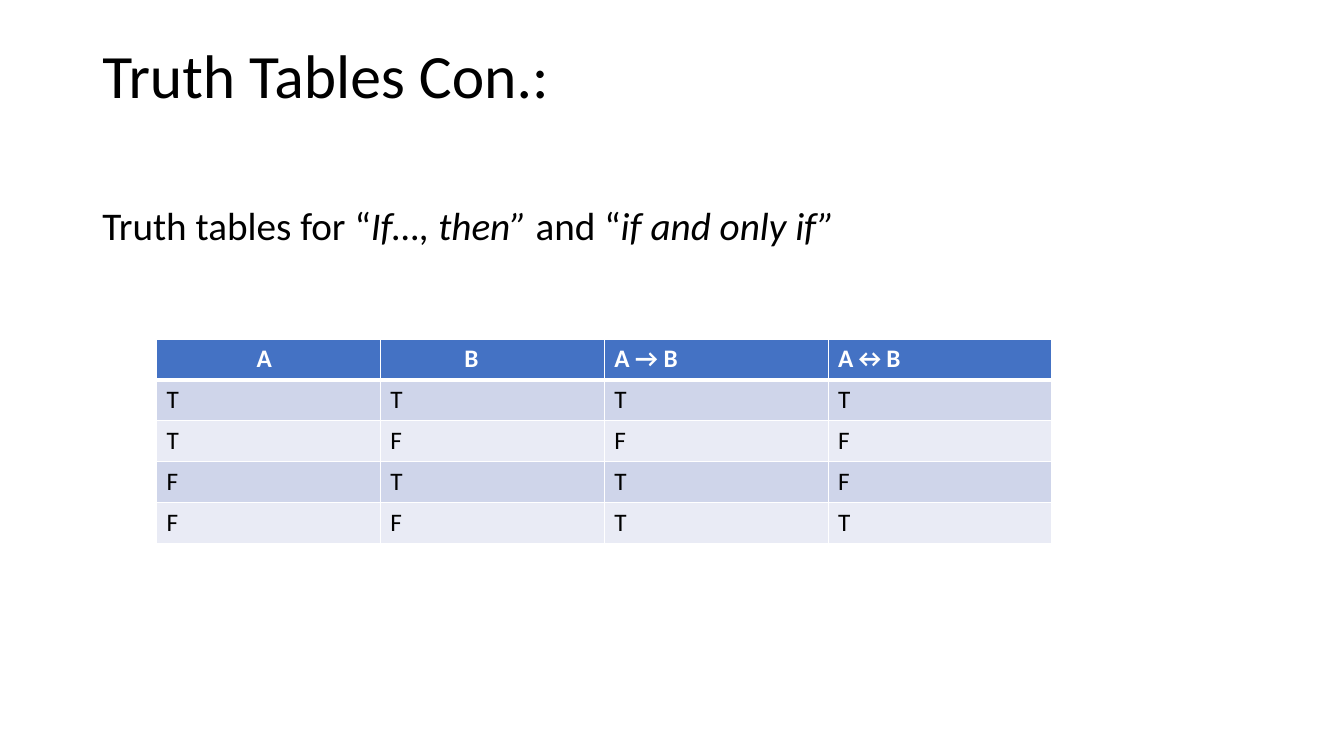
"""Build a slide with the truth tables of the conditional and biconditional."""
from lxml import etree
from pptx import Presentation
from pptx.dml.color import RGBColor as RGB
from pptx.enum.text import MSO_ANCHOR as ANCHOR
from pptx.oxml.ns import qn
from pptx.util import Cm, Pt

COLORS = {"text": "000000", "white": "FFFFFF", "header": "4472C4",
          "odd": "CFD5EA", "even": "E9EBF5"}
HEADERS = ["A", "B", "A → B", "A↔B"]
HEADER_MARGINS = [2.52, 2.11, 0.25, 0.25]
TRUTH_ROWS = ["TTTT", "TFFF", "FTTF", "FFTT"]
COL_WIDTH, ROW_HEIGHT = 5.64, 1.03


def add_run(p, text, size=18, color="text", bold=False, italic=False):
    r = p.add_run()
    r.text = text
    r.font.name = "Calibri"
    r.font.size = Pt(size)
    r.font.bold = bold
    r.font.italic = italic
    r.font.color.rgb = RGB.from_string(COLORS[color])


def add_text(s, top, height, runs, size, before=0):
    tf = s.shapes.add_textbox(Cm(2.33), Cm(top), Cm(29.21), Cm(height)).text_frame
    tf.word_wrap = True
    tf.vertical_anchor = ANCHOR.TOP
    p = tf.paragraphs[0]
    p.line_spacing = 0.9
    p.space_before = Pt(before)
    for text, italic in runs:
        add_run(p, text, size=size, italic=italic)


def set_borders(cell, **widths):
    tc_pr = cell._tc.get_or_add_tcPr()
    for side, width in widths.items():
        ln = etree.SubElement(tc_pr, qn(f"a:ln{side}"), w=str(Pt(width)))
        fill = etree.SubElement(ln, qn("a:solidFill"))
        etree.SubElement(fill, qn("a:srgbClr"), val=COLORS["white"])


def fill_cell(cell, text, fill, margin=0.25, bottom=1, **font):
    cell.margin_left = Cm(margin)
    set_borders(cell, L=1, R=1, T=1, B=bottom)
    cell.fill.solid()
    cell.fill.fore_color.rgb = RGB.from_string(COLORS[fill])
    add_run(cell.text_frame.paragraphs[0], text, **font)


def add_truth_table(s, left, top):
    rows, cols = len(TRUTH_ROWS) + 1, len(HEADERS)
    table = s.shapes.add_table(rows, cols, Cm(left), Cm(top),
                               Cm(COL_WIDTH * cols), Cm(ROW_HEIGHT * rows)).table
    for c, (header, margin) in enumerate(zip(HEADERS, HEADER_MARGINS)):
        fill_cell(table.cell(0, c), header, "header", margin, bottom=3,
                  color="white", bold=True)
    for i, values in enumerate(TRUTH_ROWS, 1):
        for c, value in enumerate(values):
            fill_cell(table.cell(i, c), value, "odd" if i % 2 else "even",
                      bottom=1 if i < rows - 1 else 0.5)
            if i == 1:
                top_line = table.cell(i, c)._tc.tcPr.find(qn("a:lnT"))
                top_line.set("w", str(Pt(3)))


def main():
    prs = Presentation()
    prs.slide_width, prs.slide_height = Cm(33.87), Cm(19.05)
    s = prs.slides.add_slide(prs.slide_layouts[6])
    add_text(s, 1.01, 3.68, [("Truth Tables Con.:", False)], 44)
    add_text(s, 5.07, 12.09, [("Truth tables for “", False), ("If…, then” ", True),
                              ("and “", False), ("if and only if”", True)],
             28, before=10)
    add_truth_table(s, 3.95, 8.54)
    prs.save("out.pptx")


if __name__ == "__main__":
    main()
